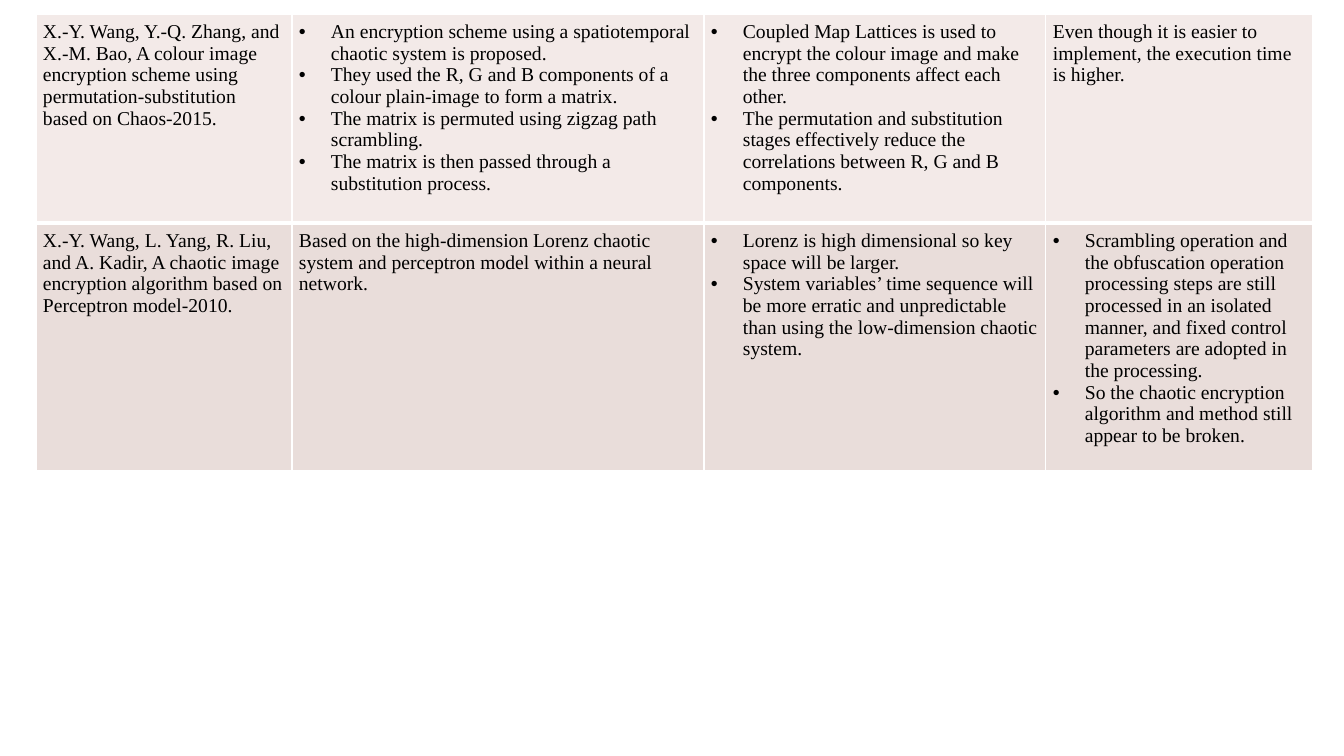
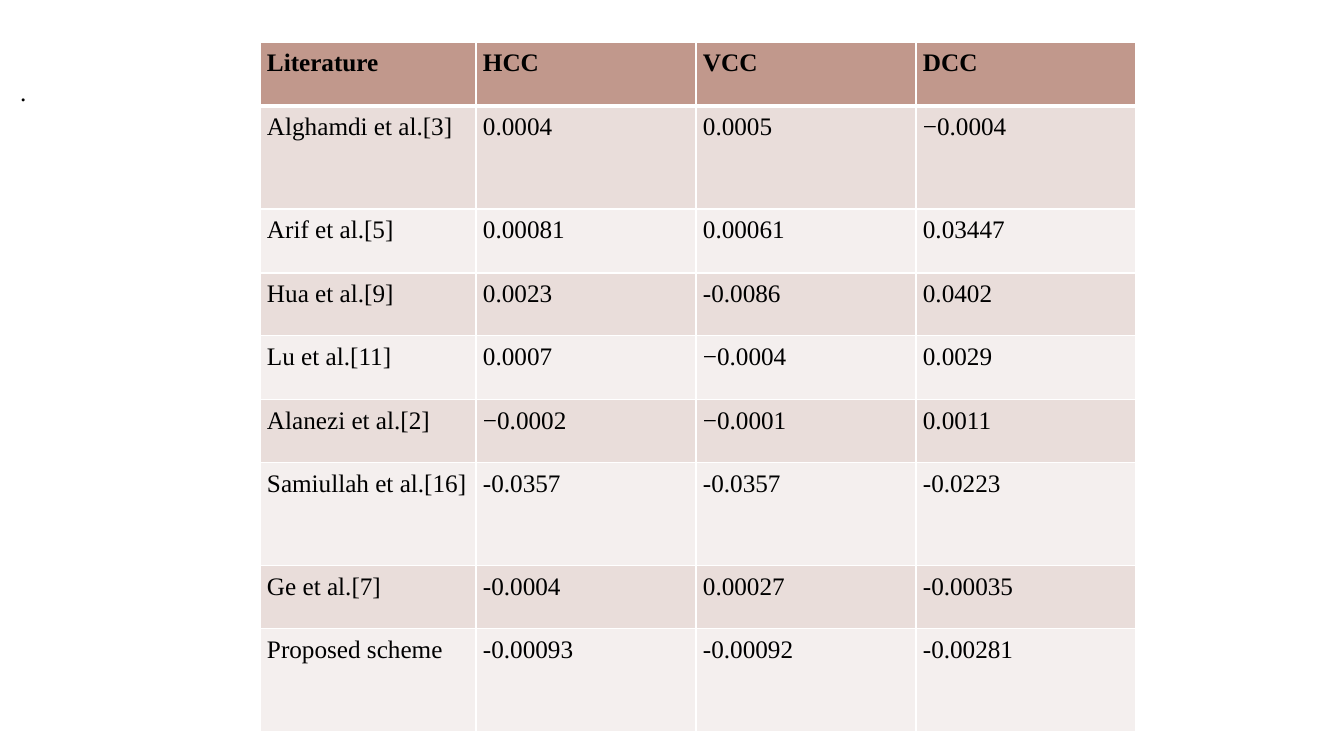
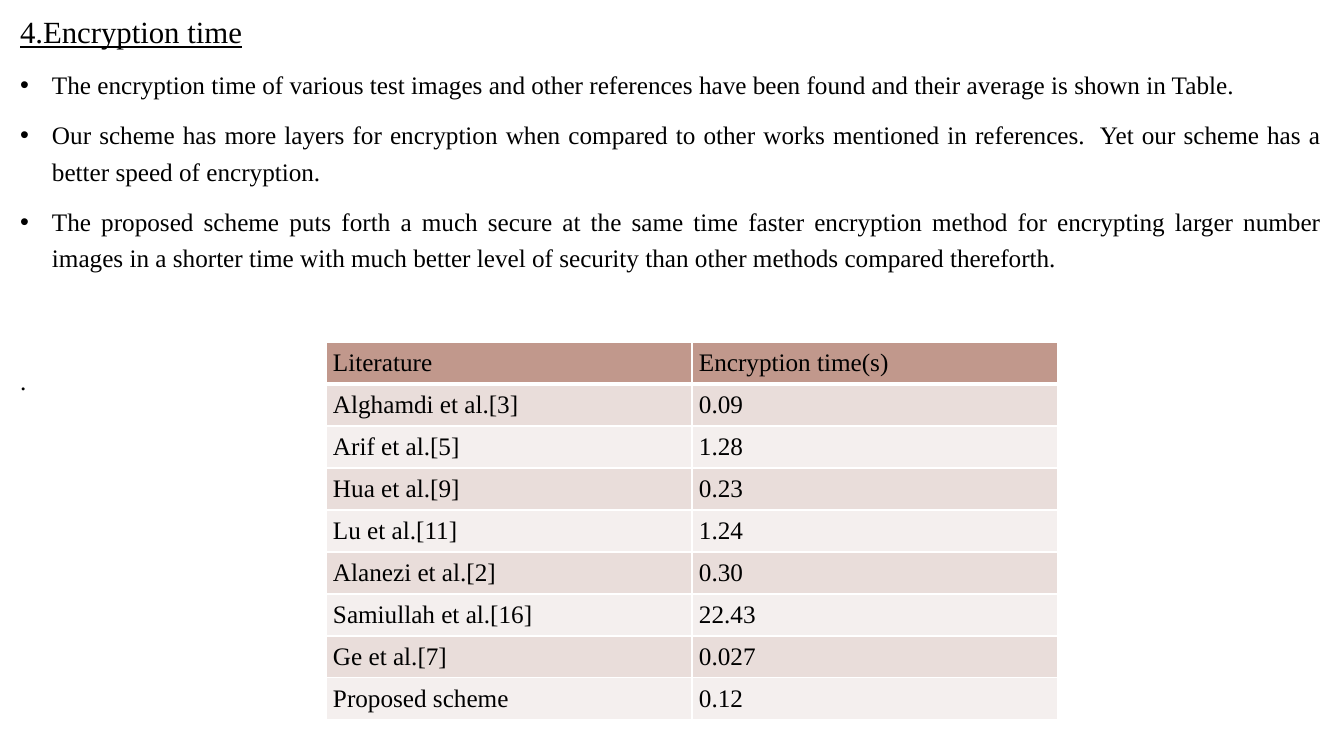
from lxml.etree import SubElement
from pptx import Presentation
from pptx.dml.color import RGBColor
from pptx.enum.text import MSO_ANCHOR as Anchor, MSO_AUTO_SIZE as AutoSize, PP_ALIGN as Align
from pptx.oxml.ns import qn
from pptx.util import Emu, Pt

BLACK = RGBColor(0x00, 0x00, 0x00)
WHITE = RGBColor(0xFF, 0xFF, 0xFF)
HEADER = RGBColor(0xC1, 0x98, 0x8C)
ROSE = RGBColor(0xE9, 0xDD, 0xDA)
BLUSH = RGBColor(0xF3, 0xEA, 0xE8)
PALE = RGBColor(0xF4, 0xEF, 0xEE)

WIDTH, HEIGHT = 1344, 756
SCALE = 12192000 / WIDTH
FONT = "Times New Roman"
LIST_INDENT = 32
CELL_MARGIN = 7

SURVEY = [
    [
        "X.-Y. Wang, Y.-Q. Zhang, and X.-M. Bao, A colour image encryption scheme "
        "using permutation-substitution based on Chaos-2015.",
        [
            "An encryption scheme using a spatiotemporal chaotic system is proposed.",
            "They used the R, G and B components of a colour plain-image to form a matrix.",
            "The matrix is permuted using zigzag path scrambling.",
            "The matrix is then passed through a substitution process.",
        ],
        [
            "Coupled Map Lattices is used to encrypt the colour image and make the "
            "three components affect each other.",
            "The permutation and substitution stages effectively reduce the "
            "correlations between R, G and B components.",
        ],
        "Even though it is easier to implement, the execution time is higher.",
    ],
    [
        "X.-Y. Wang, L. Yang, R. Liu, and A. Kadir, A chaotic image encryption "
        "algorithm based on Perceptron model-2010.",
        "Based on the high-dimension Lorenz chaotic system and perceptron model "
        "within a neural network.",
        [
            "Lorenz is high dimensional so key space will be larger.",
            "System variables’ time sequence will be more erratic and unpredictable "
            "than using the low-dimension chaotic system.",
        ],
        [
            "Scrambling operation and the obfuscation operation processing steps are "
            "still processed in an isolated manner, and fixed control parameters are "
            "adopted in the processing.",
            "So the chaotic encryption algorithm and method still appear to be broken.",
        ],
    ],
]

LITERATURE = [
    "Literature", "Alghamdi et al.[3]", "Arif et al.[5]", "Hua et al.[9]", "Lu et al.[11]",
    "Alanezi et al.[2]", "Samiullah et al.[16]", "Ge et al.[7]", "Proposed scheme",
]
CORRELATIONS = [
    ["HCC", "VCC", "DCC"],
    ["0.0004", "0.0005", "−0.0004"],
    ["0.00081", "0.00061", "0.03447"],
    ["0.0023", "-0.0086", "0.0402"],
    ["0.0007", "−0.0004", "0.0029"],
    ["−0.0002", "−0.0001", "0.0011"],
    ["-0.0357", "-0.0357", "-0.0223"],
    ["-0.0004", "0.00027", "-0.00035"],
    ["-0.00093", "-0.00092", "-0.00281"],
]
TIMES = ["Encryption time(s)", "0.09", "1.28", "0.23", "1.24", "0.30", "22.43", "0.027", "0.12"]

FINDINGS = [
    "The encryption time of various test images and other references have been found "
    "and their average is shown in Table.",
    "Our scheme has more layers for encryption when compared to other works mentioned "
    "in references.  Yet our scheme has a better speed of encryption.",
    "The proposed scheme puts forth a much secure at the same time faster encryption "
    "method for encrypting larger number images in a shorter time with much better "
    "level of security than other methods compared thereforth.",
]


def px(length):
    return Emu(round(length * SCALE))


def write_text(frame, text, size=18, bold=False, underline=False, bullet=False,
               align=Align.LEFT, spacing=1.0, before=0):
    first = frame.paragraphs[0]
    para = frame.add_paragraph() if first.runs else first
    properties = para._p.get_or_add_pPr()
    indent = px(LIST_INDENT) if bullet else 0
    properties.set("marL", str(indent))
    properties.set("indent", str(-indent))
    if bullet:
        SubElement(properties, qn("a:buFont"), typeface="Arial")
        SubElement(properties, qn("a:buChar"), char="•")
    else:
        SubElement(properties, qn("a:buNone"))
    para.alignment = align
    para.line_spacing = spacing
    para.space_before = Pt(before if para._p is not first._p else 0)
    span = para.add_run()
    span.text = text
    span.font.name = FONT
    span.font.size = Pt(size)
    span.font.bold = bold
    span.font.underline = underline
    span.font.color.rgb = BLACK


class Deck:
    """Holds the shared style and the current page."""

    prose = dict(align=Align.JUSTIFY, spacing=1.2, before=10)

    def __init__(self):
        self.deck = Presentation()
        self.deck.slide_width, self.deck.slide_height = px(WIDTH), px(HEIGHT)
        self.page = None

    def add_page(self, layout):
        self.page = self.deck.slides.add_slide(self.deck.slide_layouts.get_by_name(layout))
        self.page.background.fill.solid()
        self.page.background.fill.fore_color.rgb = WHITE

    def body(self, top, height, inset=5):
        title = self.page.shapes.title
        title._element.getparent().remove(title._element)
        box = self.page.placeholders[1]
        box.left, box.top, box.width, box.height = px(10), px(top), px(1322), px(height)
        frame = box.text_frame
        frame.word_wrap = True
        frame.auto_size = AutoSize.NONE
        frame.vertical_anchor = Anchor.TOP
        frame.margin_left = frame.margin_right = px(10)
        frame.margin_top, frame.margin_bottom = px(inset), px(5)
        return frame

    def border(self, cell, bottom):
        properties = cell._tc.get_or_add_tcPr()
        for side, points in (("L", 1), ("R", 1), ("T", 1), ("B", bottom)):
            line = SubElement(properties, qn(f"a:ln{side}"), w=str(Pt(points)))
            fill = SubElement(line, qn("a:solidFill"))
            SubElement(fill, qn("a:srgbClr"), val=str(WHITE))

    def table(self, left, top, widths, heights, rows, first, bands, size=18, bold_header=False):
        grid = self.page.shapes.add_table(
            len(rows), len(widths), px(left), px(top), px(sum(widths)), px(sum(heights))).table
        grid.horz_banding = False
        grid.first_row = False
        for column, width in zip(grid.columns, widths):
            column.width = px(width)
        for index, (row, height, entries) in enumerate(zip(grid.rows, heights, rows)):
            row.height = px(height)
            color = bands[(index - 1) % len(bands)] if index else first
            for cell, entry in zip(row.cells, entries):
                cell.margin_left = cell.margin_right = px(CELL_MARGIN)
                cell.margin_top = cell.margin_bottom = px(CELL_MARGIN)
                self.border(cell, bottom=1 if index else 3)
                cell.fill.solid()
                cell.fill.fore_color.rgb = color
                listed = isinstance(entry, list)
                for text in entry if listed else [entry]:
                    write_text(cell.text_frame, text, size=size, bullet=listed,
                               bold=bold_header and index == 0)

    def survey_page(self):
        self.add_page("Blank")
        self.table(36, 14, [256, 412, 342, 267], [209, 248], SURVEY, BLUSH, [ROSE], size=14)

    def correlation_page(self):
        self.add_page("Title and Content")
        write_text(self.body(29, 700, inset=41), ".", **self.prose)
        rows = [[name, *values] for name, values in zip(LITERATURE, CORRELATIONS)]
        heights = [103 if index in (1, 6, 8) else 64 - index % 2 for index in range(len(rows))]
        self.table(260, 42, [216] + [220] * 3, heights, rows, HEADER, [ROSE, PALE],
                   bold_header=True)

    def time_page(self):
        self.add_page("Title and Content")
        frame = self.body(0, HEIGHT)
        write_text(frame, "4.Encryption time", size=22, underline=True, **self.prose)
        for finding in FINDINGS:
            write_text(frame, finding, bullet=True, **self.prose)
        write_text(frame, ".", **{**self.prose, "before": 62})
        rows = list(zip(LITERATURE, TIMES))
        self.table(326, 342, [366] * 2, [42] * len(rows), rows, HEADER, [ROSE, PALE])


def main():
    deck = Deck()
    deck.survey_page()
    deck.correlation_page()
    deck.time_page()
    deck.deck.save("out.pptx")


if __name__ == "__main__":
    main()
